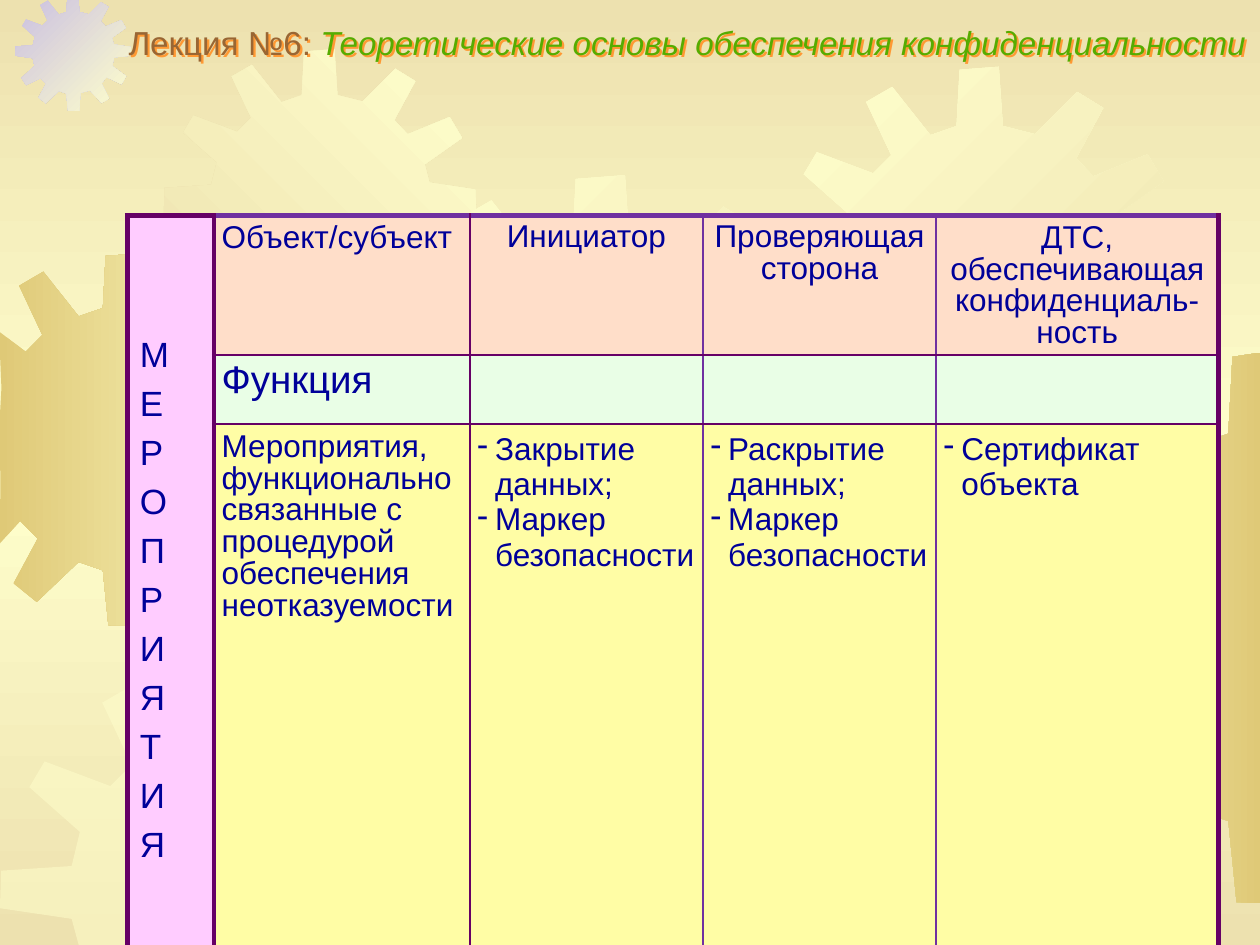
from copy import deepcopy
from dataclasses import dataclass

from lxml.etree import SubElement
from pptx import Presentation
from pptx.dml.color import RGBColor
from pptx.enum.text import MSO_ANCHOR as Anchor, PP_ALIGN as Align
from pptx.oxml import parse_xml
from pptx.oxml.ns import nsdecls, qn
from pptx.util import Inches, Pt


@dataclass(frozen=True)
class Theme:
    font: str = "Arial"
    ink: str = "000099"
    brown: str = "996633"
    green: str = "56AC00"
    shadow: str = "FF9933"
    plum: str = "660066"
    violet: str = "7030A0"
    sand: str = "EDE1AF"
    cream: str = "FFFFCC"
    gold: str = "DFC977"
    lilac: str = "CAC0E2"
    pink: str = "FFCCFF"
    peach: str = "FFDEC9"
    mint: str = "E9FEE6"
    lemon: str = "FFFDA5"
    title: int = 19
    body: int = 18
    function: int = 22
    letters: int = 20
    thick: float = 3
    thin: float = 1.5


THEME = Theme()
GEAR_SIZE = 401
GEAR = [
    (255, 67), (223, 59), (219, 0), (180, 3), (177, 59), (151, 68), (113, 20), (87, 35),
    (112, 88), (94, 106), (38, 85), (25, 107), (68, 145), (61, 174), (1, 178), (0, 210),
    (61, 219), (67, 246), (22, 287), (38, 312), (88, 288), (107, 307), (81, 355), (106, 375),
    (151, 332), (177, 341), (183, 400), (222, 401), (226, 339), (259, 330), (299, 374), (325, 358),
    (299, 306), (316, 284), (368, 309), (384, 281), (336, 246), (342, 216), (401, 210), (400, 180),
    (341, 171), (335, 148), (383, 114), (367, 87), (313, 109), (296, 91), (323, 41), (297, 25),
]


class SlideBuilder:
    """Draws styled elements on a slide laid out on a grid of 100 columns by 75 rows."""

    def __init__(self, theme):
        self.theme = theme
        self.presentation = Presentation()
        self.presentation.slide_width = Inches(10)
        self.presentation.slide_height = Inches(7.5)
        self.slide = self.presentation.slides.add_slide(self.presentation.slide_layouts[6])

    def grid(self, *cells):
        return [round(cell * self.presentation.slide_width / 100) for cell in cells]

    def gradient(self, fill, colors, angle):
        fill.gradient()
        fill.gradient_angle = -angle % 360
        for stop, color in zip(fill.gradient_stops, colors):
            stop.color.rgb = RGBColor.from_string(color)

    def background(self, edge, middle):
        fill = self.slide.background.fill
        self.gradient(fill, (edge, middle), 90)
        stops = self.slide.element.find(".//" + qn("a:gsLst"))
        stops.append(deepcopy(stops[0]))
        for stop, position in zip(fill.gradient_stops, (0, 0.5, 1)):
            stop.position = position

    def gear(self, left, top, size, colors, angle=0, alpha=None):
        points = [
            self.grid(min(max(left + x * size / GEAR_SIZE, 0), 100),
                      min(max(top + y * size / GEAR_SIZE, 0), 75))
            for x, y in GEAR
        ]
        builder = self.slide.shapes.build_freeform(*points[0])
        builder.add_line_segments(points[1:], close=True)
        shape = builder.convert_to_shape()
        shape.shadow.inherit = False
        shape.line.fill.background()
        if alpha is None:
            self.gradient(shape.fill, colors, angle)
        else:
            shape.fill.solid()
            shape.fill.fore_color.rgb = RGBColor.from_string(colors[0])
            color = shape.element.spPr.find(".//" + qn("a:srgbClr"))
            SubElement(color, qn("a:alpha"), val=str(alpha * 1000))

    def run(self, paragraph, text, size, color, **formats):
        run = paragraph.add_run()
        run.text = text
        formats = {"name": self.theme.font, "size": Pt(size), **formats}
        for name, value in formats.items():
            setattr(run.font, name, value)
        run.font.color.rgb = RGBColor.from_string(color)

    def title(self, left, top, width, height, parts):
        shape = self.slide.shapes.add_textbox(*self.grid(left, top, width, height))
        frame = shape.text_frame
        formats = {"word_wrap": True, "vertical_anchor": Anchor.MIDDLE, "margin_left": 0,
                   "margin_right": 0, "margin_top": 0, "margin_bottom": 0}
        for name, value in formats.items():
            setattr(frame, name, value)
        paragraph = frame.paragraphs[0]
        paragraph.line_spacing = 0.9
        for text, color, italic in parts:
            self.run(paragraph, text, self.theme.title, color, italic=italic)
        shape.element.spPr.append(parse_xml(
            f'<a:effectLst {nsdecls("a")}><a:outerShdw dist="22000" dir="2700000">'
            f'<a:srgbClr val="{self.theme.shadow}"/></a:outerShdw></a:effectLst>'))

    def table(self, left, top, height, columns, rows):
        size = self.grid(left, top, sum(columns), height)
        frame = self.slide.shapes.add_table(len(rows), len(columns), *size)
        table = frame.table
        table.first_row = table.horz_banding = False
        for column, width in zip(table.columns, self.grid(*columns)):
            column.width = width
        for row, row_height in zip(table.rows, self.grid(*rows)):
            row.height = row_height
        frame.height = size[3]
        return table

    def cell(self, cell, lines, fill, borders, size=None, spacing=None, align=Align.LEFT,
             anchor=Anchor.TOP, margins=(0.6, 0.6, 0.6, 0.6), hanging=False):
        cell.fill.solid()
        cell.fill.fore_color.rgb = RGBColor.from_string(fill)
        cell.vertical_anchor = anchor
        for side, margin in zip(("left", "top", "right", "bottom"), self.grid(*margins)):
            setattr(cell, f"margin_{side}", margin)
        properties = cell._tc.get_or_add_tcPr()
        for index, (side, (color, width)) in enumerate(zip("LRTB", borders)):
            properties.insert(index, parse_xml(
                f'<a:ln{side} {nsdecls("a")} w="{Pt(width)}"><a:solidFill>'
                f'<a:srgbClr val="{color}"/></a:solidFill></a:ln{side}>'))
        for index, line in enumerate(lines):
            frame = cell.text_frame
            paragraph = frame.add_paragraph() if index else frame.paragraphs[0]
            paragraph.alignment = align
            paragraph.line_spacing = spacing
            self.run(paragraph, line.removeprefix("- "), size or self.theme.body, self.theme.ink)
            if hanging:
                self.hang(paragraph, line.startswith("- "))

    def hang(self, paragraph, bulleted):
        properties = paragraph._p.get_or_add_pPr()
        indent = self.grid(1.4)[0]
        properties.set("marL", str(indent))
        properties.set("indent", str(-indent if bulleted else 0))
        if bulleted:
            SubElement(properties, qn("a:buChar"), char="-")
        else:
            SubElement(properties, qn("a:buNone"))


def main():
    theme = THEME
    builder = SlideBuilder(theme)
    builder.background(theme.sand, theme.cream)
    light, dark = (theme.cream, theme.sand), (theme.sand, theme.cream)
    builder.gear(-4.9, 20.1, 29.6, (theme.gold, theme.cream))
    builder.gear(1.2, -0.4, 9.2, (theme.lilac, theme.cream), 45)
    builder.gear(13, 3.9, 24.8, dark, 315)
    builder.gear(27.7, 13.9, 40.1, light, 45)
    builder.gear(0, 52.5, 37.4, light, alpha=50)
    builder.gear(49.1, 48.4, 24.8, dark, 45)
    builder.gear(61.8, 5.3, 32, light, 45)
    builder.gear(78.2, 28, 43.7, (theme.cream, theme.gold))

    table = builder.table(10.1, 17.1, 43.5, (6.9, 20.3, 18.5, 18.5, 22.4), (5.8, 5.5, 22.3))
    bold, plain = (theme.plum, theme.thick), (theme.plum, theme.thin)
    inner = (theme.violet, theme.thin)
    vertical = [bold, bold, plain, inner, inner, bold]
    horizontal = [(theme.violet, theme.thick), plain, plain, bold]

    table.cell(0, 0).merge(table.cell(2, 0))
    for row in range(3):
        builder.cell(table.cell(row, 0), "МЕРОПРИЯТИЯ" if row == 0 else (), theme.pink, [bold] * 4,
                     theme.letters, Pt(28), anchor=Anchor.MIDDLE, margins=(1, 0.5, 1, 0.5))

    label = {"spacing": 0.9}
    header = {"align": Align.CENTER, "margins": (0.4, 0.6, 0.4, 0.4)}
    actions = {"hanging": True}
    marker = ["- Маркер", "безопасности"]
    content = [
        (theme.peach, [
            (["Объект/субъект"], label),
            (["Инициатор"], {**header, "spacing": Pt(18)}),
            (["Проверяющая сторона"], {**header, "spacing": Pt(18)}),
            (["ДТС, обеспечивающая конфиденциаль-ность"], {**header, "spacing": 0.9}),
        ]),
        (theme.mint, [(["Функция"], {**label, "size": theme.function})] + [((), {})] * 3),
        (theme.lemon, [
            (["Мероприятия, функционально связанные с процедурой обеспечения неотказуемости"], label),
            (["- Закрытие", "данных;"] + marker, actions),
            (["- Раскрытие", "данных;"] + marker, actions),
            (["- Сертификат", "объекта"], actions),
        ]),
    ]
    for row, (fill, cells) in enumerate(content):
        for column, (lines, formats) in enumerate(cells, start=1):
            borders = vertical[column:column + 2] + horizontal[row:row + 2]
            builder.cell(table.cell(row, column), lines, fill, borders, **formats)

    builder.title(10.2, 2.1, 89.8, 2.9, [
        ("Лекция №6: ", theme.brown, False),
        ("Теоретические основы обеспечения конфиденциальности", theme.green, True),
    ])
    builder.presentation.save("out.pptx")


if __name__ == "__main__":
    main()
